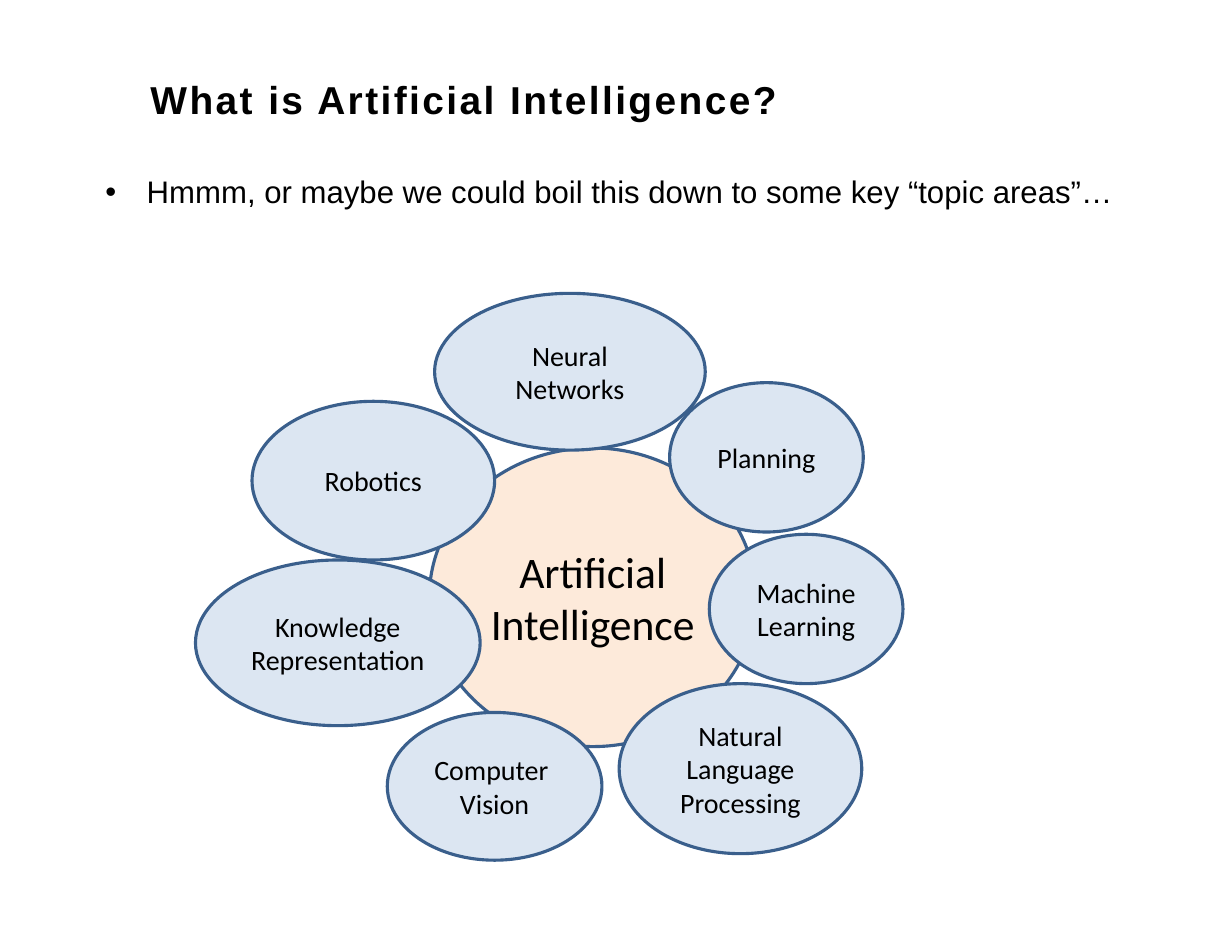
from lxml import etree
from pptx import Presentation
from pptx.dml.color import RGBColor
from pptx.enum import shapes, text
from pptx.oxml.ns import qn
from pptx.util import Pt

BLACK = RGBColor(0x00, 0x00, 0x00)
WHITE = RGBColor(0xFF, 0xFF, 0xFF)
BLUE = RGBColor(0x3A, 0x5F, 0x8C)
PALE_BLUE = RGBColor(0xDC, 0xE6, 0xF2)
PEACH = RGBColor(0xFD, 0xEA, 0xDA)

# Content: boxes are left, top, width, height in points
TITLE = "What is Artificial Intelligence?"
TITLE_BOX = (6, 54, 607.5, 102)
BULLET = "Hmmm, or maybe we could boil this down to some key “topic areas”…"
BULLET_BOX = (66.2, 110.9, 666, 48)
CORE = (["Artificial Intelligence"], (276, 288, 210, 192))
TOPICS = [
    (["Robotics"], (162, 258, 156, 102)),
    (["Neural", "Networks"], (279.4, 188.6, 174, 100.8)),
    (["Planning"], (430.5, 246, 124.5, 96)),
    (["Machine", "Learning"], (456, 343.5, 124.5, 96)),
    (["Natural", "Language", "Processing"], (398, 439.5, 156, 109.3)),
    (["Computer ", "Vision"], (249, 458, 138, 95)),
    (["Knowledge", "Representation"], (125.7, 360, 183, 106.5)),
]


def add_run(p, words, font, size, bold=False):
    r = p.add_run()
    r.text = words
    r.font.name, r.font.size, r.font.bold = font, Pt(size), bold
    r.font.color.rgb = BLACK
    return r


def place(sp, box):
    sp.left, sp.top, sp.width, sp.height = map(Pt, box)


def set_frame(tf, anchor, side=0, end=0):
    tf.word_wrap = True
    tf.auto_size = text.MSO_AUTO_SIZE.NONE
    tf.vertical_anchor = anchor
    tf.margin_left = tf.margin_right = Pt(side)
    tf.margin_top = tf.margin_bottom = Pt(end)


def set_indent(p, left, first):
    pPr = p._p.get_or_add_pPr()
    pPr.set("marL", str(Pt(left)))
    pPr.set("indent", str(Pt(first)))
    return pPr


def add_ellipse(s, lines, box, fill, size):
    sp = s.shapes.add_shape(shapes.MSO_SHAPE.OVAL, *map(Pt, box))
    sp.shadow.inherit = False
    sp.fill.solid()
    sp.fill.fore_color.rgb = fill
    sp.line.color.rgb = BLUE
    sp.line.width = Pt(2)
    tf = sp.text_frame
    set_frame(tf, text.MSO_ANCHOR.MIDDLE, 7.2, 3.6)
    for i, line in enumerate(lines):
        p = tf.add_paragraph() if i else tf.paragraphs[0]
        p.alignment = text.PP_ALIGN.CENTER
        add_run(p, line, "Calibri", size)


prs = Presentation()
prs.slide_width, prs.slide_height = Pt(792), Pt(612)
s = prs.slides.add_slide(prs.slide_layouts[1])

# Title
title = s.shapes.title
place(title, TITLE_BOX)
title.line.color.rgb = WHITE
title.line.width = Pt(4.08)
set_frame(title.text_frame, text.MSO_ANCHOR.TOP)
p = title.text_frame.paragraphs[0]
p.alignment = text.PP_ALIGN.LEFT
p.line_spacing = Pt(24.3)
set_indent(p, 90.7, 0)
r = add_run(p, TITLE, "Arial", 25, bold=True)
r.font._element.set("spc", "160")

# Bulleted line
body = s.placeholders[1]
place(body, BULLET_BOX)
set_frame(body.text_frame, text.MSO_ANCHOR.TOP)
p = body.text_frame.paragraphs[0]
p.alignment = text.PP_ALIGN.LEFT
p.line_spacing = 1.01
p.space_before = Pt(0)
pPr = set_indent(p, 28.1, -26.6)
color = etree.SubElement(pPr, qn("a:buClr"))
etree.SubElement(color, qn("a:srgbClr"), val=str(BLACK))
etree.SubElement(pPr, qn("a:buFont"), typeface="Arial")
etree.SubElement(pPr, qn("a:buChar"), char="•")
add_run(p, BULLET, "Arial", 20)

# Core field, then the topics around it
add_ellipse(s, *CORE, PEACH, 28)
for lines, box in TOPICS:
    add_ellipse(s, lines, box, PALE_BLUE, 18)

prs.save("out.pptx")
